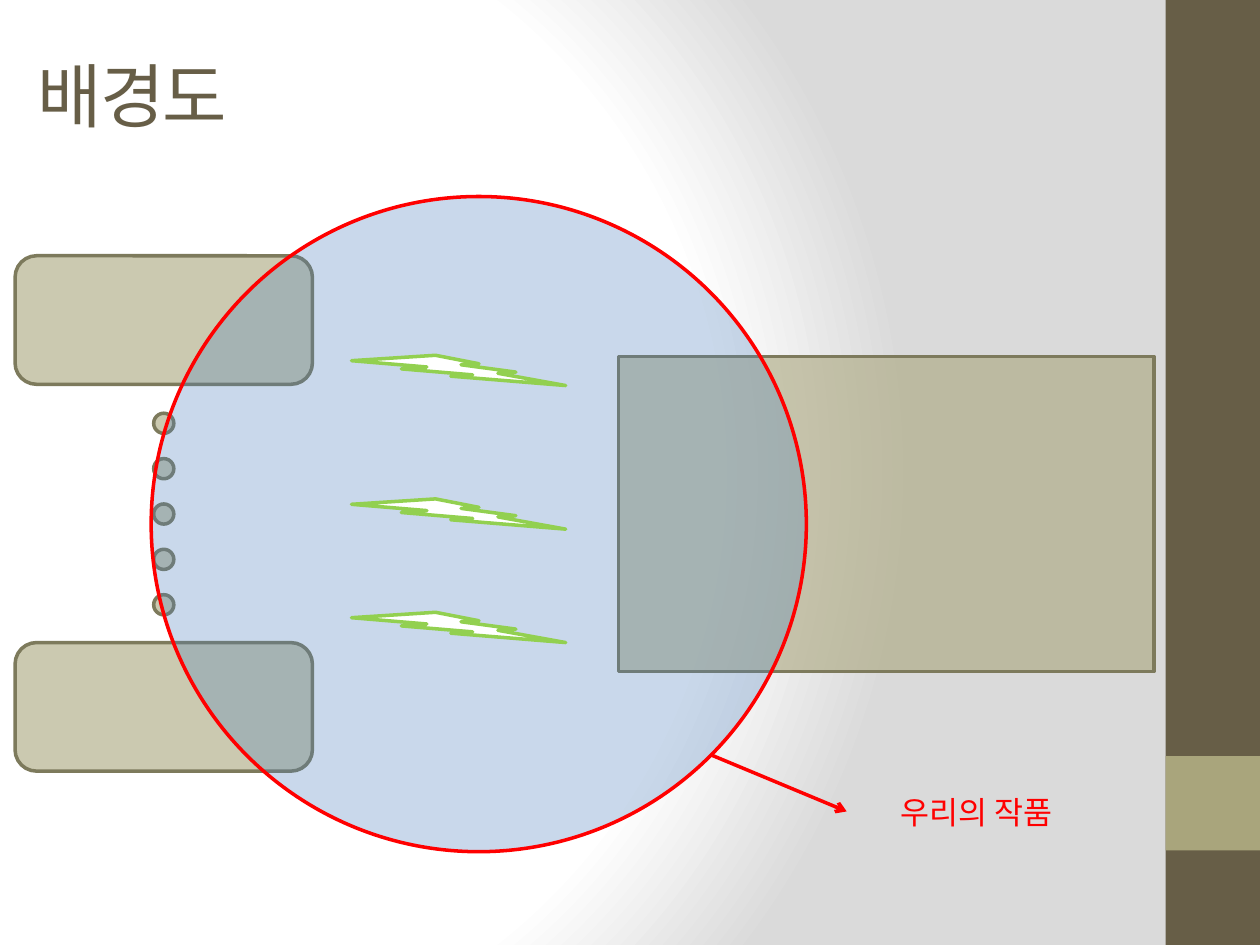
from lxml import etree
from pptx import Presentation
from pptx.dml.color import RGBColor
from pptx.enum.shapes import MSO_CONNECTOR, MSO_SHAPE
from pptx.enum.text import MSO_ANCHOR, PP_ALIGN
from pptx.oxml import parse_xml
from pptx.oxml.ns import nsdecls, qn
from pptx.util import Inches, Pt

COLORS = {
    "brown": "675E47", "khaki": "A9A57C", "olive": "7D7A5C", "blue": "4F81BD",
    "red": "FF0000", "green": "92D050", "white": "FFFFFF", "gray": "DADADA",
}
WIDTH, HEIGHT = 10, 7.5


def rgb(name):
    return RGBColor.from_string(COLORS[name])


def add_box(slide, kind, left, top, width, height, fill, line=None, alpha=None):
    shape = slide.shapes.add_shape(kind, *map(Inches, (left, top, width, height)))
    shape.shadow.inherit = False
    shape.fill.solid()
    shape.fill.fore_color.rgb = rgb(fill)
    if alpha:
        color = shape.element.spPr.find(qn("a:solidFill"))[0]
        etree.SubElement(color, qn("a:alpha"), val=str(alpha * 1000))
    if line:
        shape.line.color.rgb = rgb(line)
        shape.line.width = Pt(2)
    else:
        shape.line.fill.background()


def add_text(slide, text, left, top, width, height, font, size, color,
             anchor, align, spacing=None):
    box = slide.shapes.add_textbox(*map(Inches, (left, top, width, height)))
    frame = box.text_frame
    frame.word_wrap = True
    frame.vertical_anchor = anchor
    paragraph = frame.paragraphs[0]
    paragraph.alignment = align
    run = paragraph.add_run()
    run.text = text
    run.font.name, run.font.size = font, Pt(size)
    run.font.color.rgb = rgb(color)
    if spacing:
        run.font._element.set("spc", str(spacing * 100))


def add_arrow(slide, x1, y1, x2, y2, color):
    arrow = slide.shapes.add_connector(
        MSO_CONNECTOR.STRAIGHT, *map(Inches, (x1, y1, x2, y2)))
    arrow.line.color.rgb = rgb(color)
    arrow.line.width = Pt(2)
    etree.SubElement(arrow.line._get_or_add_ln(), qn("a:tailEnd"), type="arrow")
    etree.SubElement(arrow.element.spPr, qn("a:effectLst"))


def set_background(slide):
    """Circular gradient centred left of the middle."""
    stops = "".join(
        f'<a:gs pos="{pos * 1000}"><a:srgbClr val="{COLORS[name]}"/></a:gs>'
        for pos, name in ((0, "white"), (75, "white"), (100, "gray")))
    slide.element.cSld.insert(0, parse_xml(
        f'<p:bg {nsdecls("p", "a")}><p:bgPr><a:gradFill rotWithShape="1">'
        f'<a:gsLst>{stops}</a:gsLst><a:path path="circle">'
        '<a:fillToRect l="20000" t="50000" r="100000" b="50000"/></a:path>'
        '</a:gradFill><a:effectLst/></p:bgPr></p:bg>'))


def add_sidebar(slide, left, top, width, height):
    add_box(slide, MSO_SHAPE.RECTANGLE, left, top, width, height, "brown")
    add_box(slide, MSO_SHAPE.RECTANGLE, left, top + 0.8 * height,
            width, 0.1 * height, "khaki")


def add_diagram(slide, left, top, width, height):
    def panel(kind, x, y, w, h):
        add_box(slide, kind, left + x, top + y, w, h, "khaki", "olive", 60)

    # Sources on the left, with dots between them, and the target on the right
    panel(MSO_SHAPE.ROUNDED_RECTANGLE, 0, 0.47, 2.36, 1.02)
    for row in range(5):
        panel(MSO_SHAPE.OVAL, 1.1, 1.72 + 0.36 * row, 0.16, 0.16)
    panel(MSO_SHAPE.RECTANGLE, width - 4.25, 1.27, 4.25, 2.5)
    panel(MSO_SHAPE.ROUNDED_RECTANGLE, 0, 3.54, 2.36, 1.02)

    # Circle around our part, and the signals inside it
    add_box(slide, MSO_SHAPE.OVAL, left + 1.08, top, height, height,
            "blue", "red", 30)
    for y in (1.26, 2.4, 3.3):
        add_box(slide, MSO_SHAPE.LIGHTNING_BOLT, left + 2.67, top + y,
                1.7, 0.24, "white", "green")

    # Callout
    add_arrow(slide, left + 5.52, top + 4.43, left + 6.6, top + 4.88, "red")
    add_text(slide, "우리의 작품", left + 6.6, top + 4.57, 2.06, 0.63,
             "Calibri", 18, "red", MSO_ANCHOR.MIDDLE, PP_ALIGN.CENTER)


prs = Presentation()
prs.slide_width, prs.slide_height = Inches(WIDTH), Inches(HEIGHT)
slide = prs.slides.add_slide(prs.slide_layouts[6])
set_background(slide)
add_sidebar(slide, 0.925 * WIDTH, 0, 0.075 * WIDTH, HEIGHT)
add_diagram(slide, 0.12, 1.56, 9.04, 5.2)
add_text(slide, "배경도", 0.2, 0.03, 8.25, 1.1, "Cambria", 40, "brown",
         MSO_ANCHOR.BOTTOM, PP_ALIGN.LEFT, spacing=-1)
prs.save("out.pptx")
